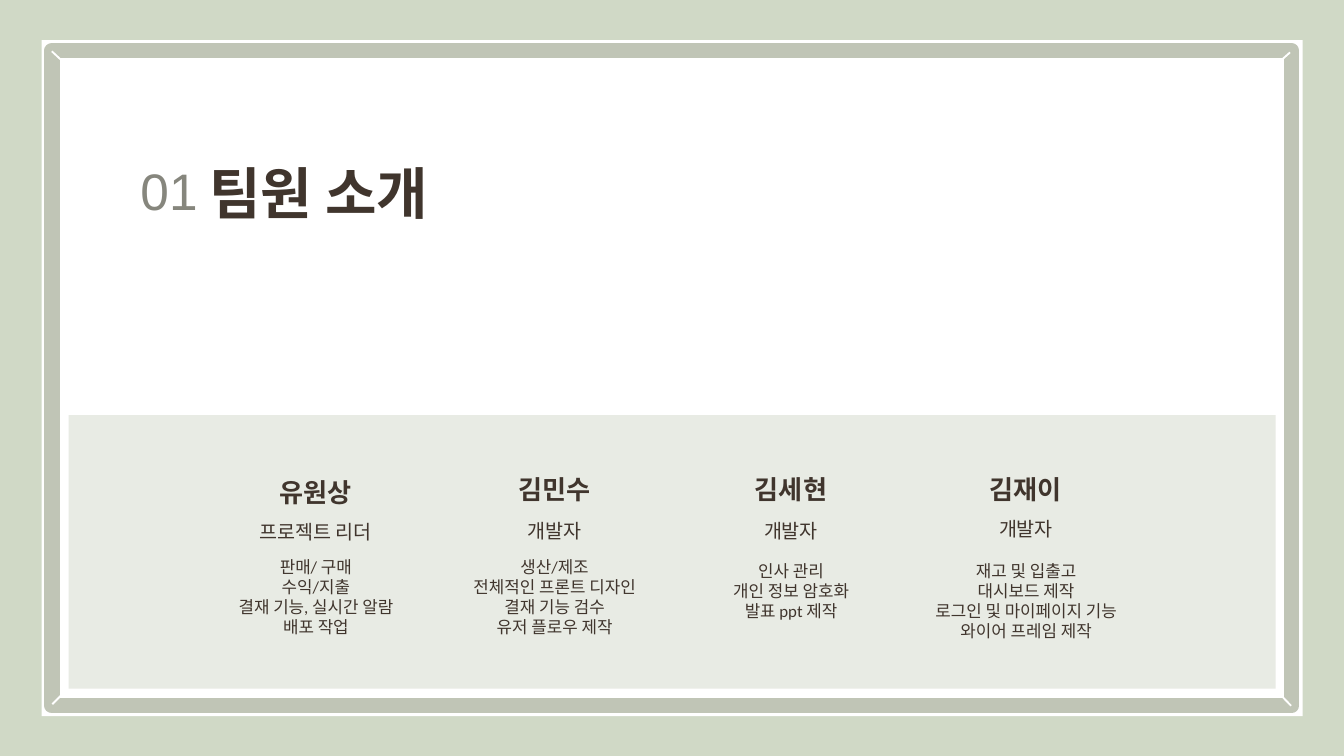
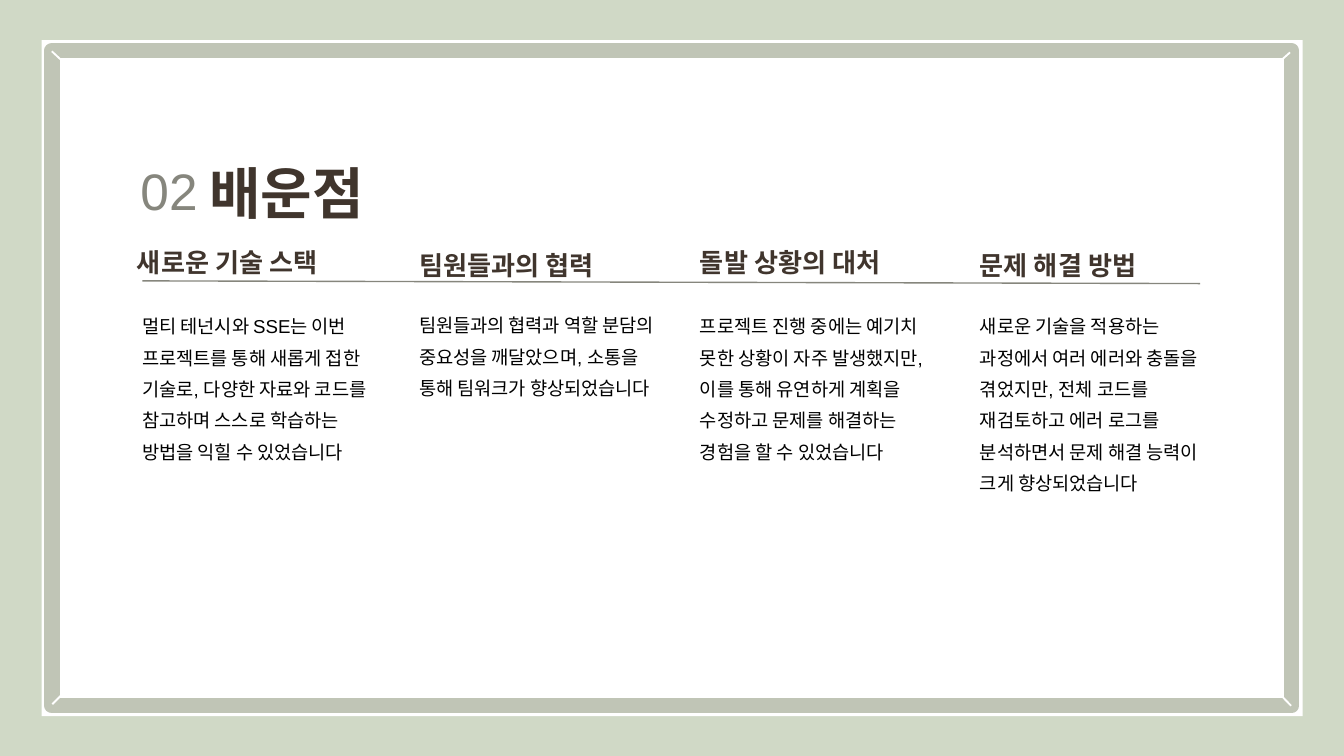
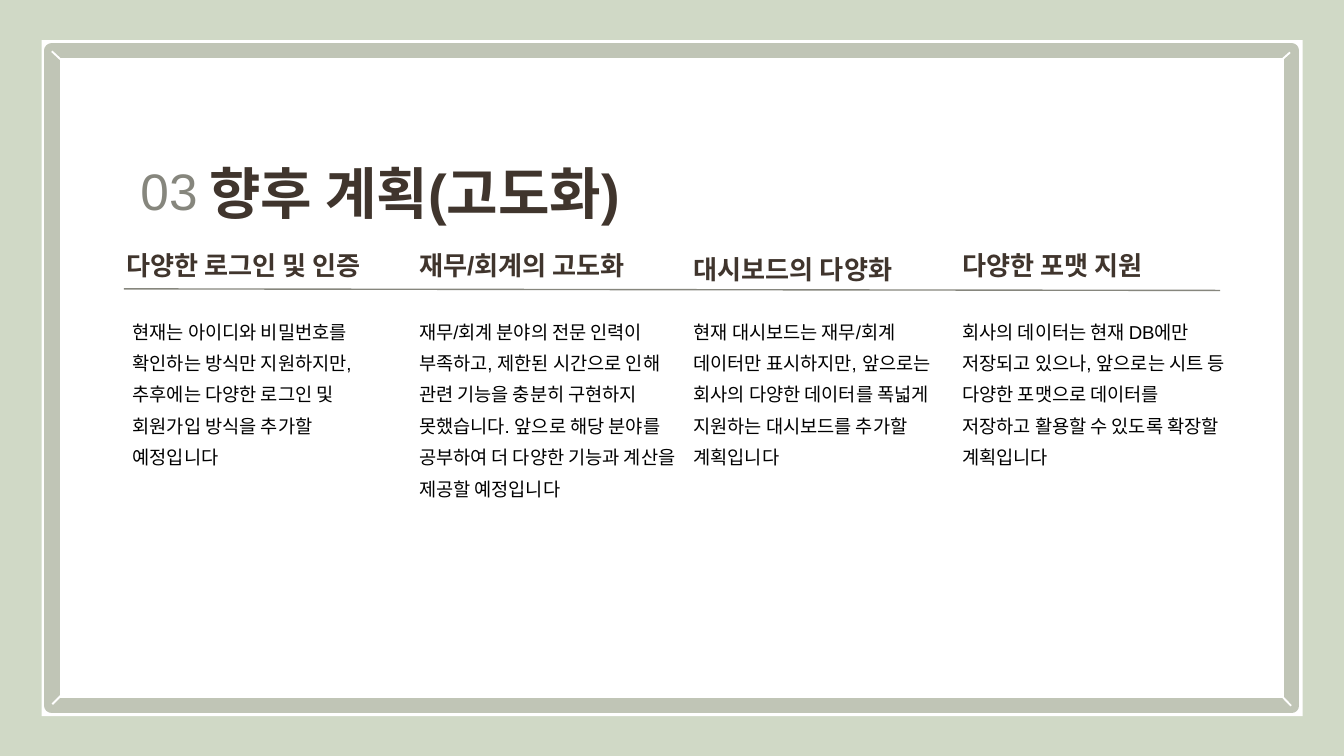
from dataclasses import dataclass

from lxml.etree import SubElement
from pptx import Presentation
from pptx.dml.color import RGBColor
from pptx.enum.shapes import MSO_CONNECTOR, MSO_SHAPE
from pptx.enum.text import MSO_AUTO_SIZE, PP_ALIGN
from pptx.oxml.ns import qn
from pptx.slide import Slide
from pptx.util import Cm, Pt

COLORS = {
    "sage": "D0D9C6",
    "white": "FFFFFF",
    "frame": "C0C5B6",
    "panel": "E8EBE4",
    "brown": "40352D",
    "gray": "86867D",
    "black": "000000",
}

LEFT, MID = PP_ALIGN.LEFT, PP_ALIGN.CENTER


@dataclass(frozen=True)
class Style:
    color: str
    font: dict
    para: dict
    inset: float = 0
    fit: bool = True


def style(color: str, size: float, align: PP_ALIGN, bold: bool = False) -> Style:
    return Style(color, {"name": "Arial", "size": Pt(size), "bold": bold},
                 {"alignment": align, "line_spacing": 1.4})


STYLES = {
    "title": style("brown", 30, LEFT, True),
    "number": style("gray", 27.5, MID),
    "name": style("brown", 14, MID, True),
    "role": style("brown", 10.5, MID),
    "head": style("brown", 14, LEFT, True),
    "body": style("black", 10, LEFT),
    "jobs": Style("brown", {"name": "Calibri", "size": Pt(9)},
                  {"alignment": MID}, inset=0.13, fit=False),
}


@dataclass(frozen=True)
class Box:
    x: float
    y: float
    w: float
    h: float

    def lengths(self) -> tuple:
        return Cm(self.x), Cm(self.y), Cm(self.w), Cm(self.h)


@dataclass(frozen=True)
class Line:
    x1: float
    y1: float
    x2: float
    y2: float


@dataclass(frozen=True)
class Member:
    mid: float
    tops: tuple[float, float, float]
    width: float
    name: str
    role: str
    jobs: tuple[str, ...]


@dataclass(frozen=True)
class Topic:
    head: str
    place: Box
    body: str
    area: Box


@dataclass(frozen=True)
class Page:
    number: str
    title: str
    width: float
    rule: Line
    topics: tuple[Topic, ...]


OUTER = Box(0.79, 0.76, 23.83, 12.78)
INNER = Box(0.98, 0.96, 23.43, 12.38)
PANEL = Box(1.3, 7.85, 22.81, 5.17)
CORNERS = (
    Line(0.98, 0.97, 1.27, 1.24),
    Line(24.1, 13.03, 24.4, 13.34),
    Line(0.99, 13.31, 1.24, 13.06),
    Line(24.1, 1.24, 24.38, 0.99),
)

MEMBERS = (
    Member(5.97, (8.76, 9.65, 10.39), 3.94, "유원상", "프로젝트 리더",
           ("판매/ 구매", "수익/지출", "결재 기능, 실시간 알람", "배포 작업")),
    Member(10.48, (8.71, 9.63, 10.39), 3.84, "김민수", "개발자",
           ("생산/제조", "전체적인 프론트 디자인", "결재 기능 검수", "유저 플로우 제작")),
    Member(14.95, (8.71, 9.63, 10.46), 2.72, "김세현", "개발자",
           ("인사 관리", "개인 정보 암호화", "발표 ppt 제작")),
    Member(19.39, (8.71, 9.6, 10.46), 4.06, "김재이", "개발자",
           ("재고 및 입출고", "대시보드 제작", "로그인 및 마이페이지 기능",
            "와이어 프레임 제작")),
)

PAGES = (
    Page("02", "배운점", 5.23, Line(2.69, 5.31, 22.68, 5.36), (
        Topic("새로운 기술 스택", Box(2.59, 4.42, 4.78, 0.61),
              "멀티 테넌시와 SSE는 이번 프로젝트를 통해 새롭게 접한 기술로, "
              "다양한 자료와 코드를 참고하며 스스로 학습하는 방법을 익힐 수 있었습니다",
              Box(2.69, 5.79, 4.6, 2.82)),
        Topic("팀원들과의 협력", Box(7.92, 4.47, 4.32, 0.61),
              "팀원들과의 협력과 역할 분담의 중요성을 깨달았으며, "
              "소통을 통해 팀워크가 향상되었습니다",
              Box(7.92, 5.77, 4.57, 1.63)),
        Topic("돌발 상황의 대처", Box(13.23, 4.42, 5.61, 0.61),
              "프로젝트 진행 중에는 예기치 못한 상황이 자주 발생했지만, "
              "이를 통해 유연하게 계획을 수정하고 문제를 해결하는 경험을 할 수 있었습니다",
              Box(13.23, 5.79, 4.32, 2.82)),
        Topic("문제 해결 방법", Box(18.52, 4.47, 3.99, 0.61),
              "새로운 기술을 적용하는 과정에서 여러 에러와 충돌을 겪었지만, "
              "전체 코드를 재검토하고 에러 로그를 분석하면서 "
              "문제 해결 능력이 크게 향상되었습니다",
              Box(18.52, 5.79, 4.65, 3.43)),
    )),
    Page("03", "향후 계획(고도화)", 9.86, Line(2.34, 5.46, 23.06, 5.49), (
        Topic("다양한 로그인 및 인증", Box(2.39, 4.47, 5.03, 0.61),
              "현재는 아이디와 비밀번호를 확인하는 방식만 지원하지만, "
              "추후에는 다양한 로그인 및 회원가입 방식을 추가할 예정입니다",
              Box(2.51, 5.89, 4.93, 2.82)),
        Topic("재무/회계의 고도화", Box(7.92, 4.47, 4.32, 0.61),
              "재무/회계 분야의 전문 인력이 부족하고, 제한된 시간으로 인해 "
              "관련 기능을 충분히 구현하지 못했습니다. 앞으로 해당 분야를 공부하여 "
              "더 다양한 기능과 계산을 제공할 예정입니다",
              Box(7.92, 5.89, 4.85, 3.43)),
        Topic("대시보드의 다양화", Box(13.11, 4.55, 5.23, 0.58),
              "현재 대시보드는 재무/회계 데이터만 표시하지만, 앞으로는 회사의 "
              "다양한 데이터를 폭넓게 지원하는 대시보드를 추가할 계획입니다",
              Box(13.11, 5.89, 4.85, 2.82)),
        Topic("다양한 포맷 지원", Box(18.19, 4.47, 3.99, 0.61),
              "회사의 데이터는 현재 DB에만 저장되고 있으나, 앞으로는 시트 등 "
              "다양한 포맷으로 데이터를 저장하고 활용할 수 있도록 확장할 계획입니다",
              Box(18.19, 5.89, 4.98, 2.82)),
    )),
)


def paint(color: str) -> RGBColor:
    return RGBColor.from_string(COLORS[color])


def assign(target: object, values: dict) -> None:
    for key, value in values.items():
        setattr(target, key, value)


def add_rect(slide: Slide, box: Box, fill: str, edge: str = "") -> None:
    rect = slide.shapes.add_shape(MSO_SHAPE.RECTANGLE, *box.lengths())
    rect.shadow.inherit = False
    rect.fill.solid()
    rect.fill.fore_color.rgb = paint(fill)
    if edge:
        rect.line.color.rgb = paint(edge)
        rect.line.width = Pt(8.25)
    else:
        rect.line.fill.background()


def add_line(slide: Slide, line: Line, color: str, width: float) -> None:
    ends = (Cm(n) for n in (line.x1, line.y1, line.x2, line.y2))
    link = slide.shapes.add_connector(MSO_CONNECTOR.STRAIGHT, *ends)
    link.line.color.rgb = paint(color)
    link.line.width = Pt(width)
    SubElement(link._element.spPr, qn("a:effectLst"))


def add_text(slide: Slide, box: Box, kind: str, *lines: str) -> None:
    look = STYLES[kind]
    frame = slide.shapes.add_textbox(*box.lengths()).text_frame
    sides = ("left", "top", "right", "bottom")
    assign(frame, {f"margin_{side}": Cm(look.inset) for side in sides})
    fit = MSO_AUTO_SIZE.SHAPE_TO_FIT_TEXT if look.fit else MSO_AUTO_SIZE.NONE
    assign(frame, {"word_wrap": True, "auto_size": fit})
    for i, line in enumerate(lines):
        para = frame.add_paragraph() if i else frame.paragraphs[0]
        assign(para, look.para)
        run = para.add_run()
        run.text = line
        assign(run.font, look.font)
        run.font.color.rgb = paint(look.color)


def add_base(deck: Presentation) -> Slide:
    # Background and bevelled frame
    slide = deck.slides.add_slide(deck.slide_layouts[6])
    slide.background.fill.solid()
    slide.background.fill.fore_color.rgb = paint("sage")
    add_rect(slide, OUTER, "white")
    add_rect(slide, INNER, "white", "frame")
    for line in CORNERS:
        add_line(slide, line, "white", 1)
    return slide


def add_title(slide: Slide, number: str, title: str, width: float) -> None:
    add_text(slide, Box(3.96, 2.49, width, 1.27), "title", title)
    add_text(slide, Box(2.51, 2.54, 1.37, 1.17), "number", number)


def add_member(slide: Slide, who: Member) -> None:
    parts = (
        ("name", 3.4, 0.61, (who.name,)),
        ("role", 3.68, 0.46, (who.role,)),
        ("jobs", who.width, 2.36, who.jobs),
    )
    for top, (kind, width, height, lines) in zip(who.tops, parts):
        box = Box(who.mid - width / 2, top, width, height)
        add_text(slide, box, kind, *lines)


def add_page(deck: Presentation, page: Page) -> None:
    slide = add_base(deck)
    for topic in page.topics:
        add_text(slide, topic.place, "head", topic.head)
        add_text(slide, topic.area, "body", topic.body)
    add_title(slide, page.number, page.title, page.width)
    add_line(slide, page.rule, "gray", 0.75)


def main() -> None:
    deck = Presentation()
    assign(deck, {"slide_width": Cm(25.4), "slide_height": Cm(14.29)})

    # Team
    team = add_base(deck)
    add_rect(team, PANEL, "panel")
    add_title(team, "01", "팀원 소개", 7.37)
    for who in MEMBERS:
        add_member(team, who)

    # Lessons and plans
    for page in PAGES:
        add_page(deck, page)

    deck.save("out.pptx")


if __name__ == "__main__":
    main()
